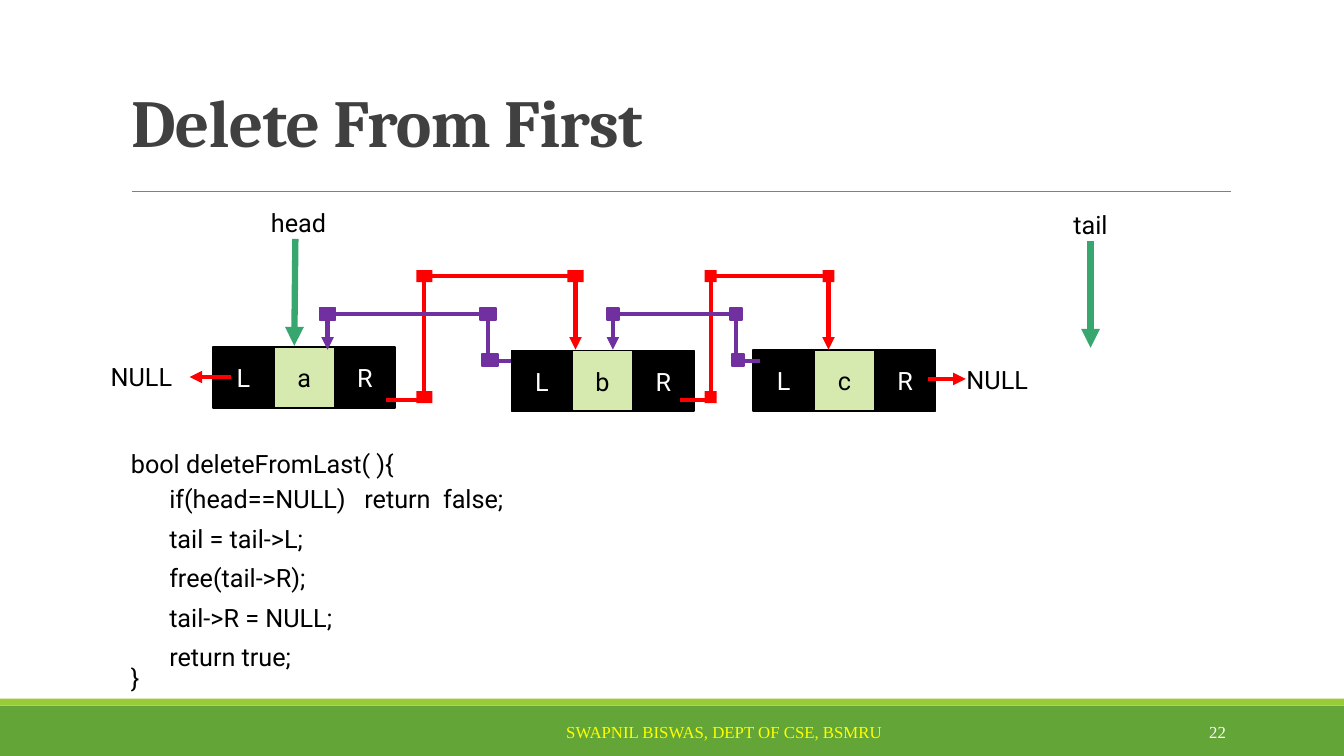
from lxml import etree
from pptx import Presentation
from pptx.dml.color import RGBColor
from pptx.enum.shapes import MSO_CONNECTOR, MSO_SHAPE
from pptx.enum.text import MSO_ANCHOR, MSO_AUTO_SIZE, PP_ALIGN
from pptx.oxml.ns import qn
from pptx.util import Pt

RECTANGLE = MSO_SHAPE.RECTANGLE
STRAIGHT = MSO_CONNECTOR.STRAIGHT
TOP, MIDDLE, BOTTOM = MSO_ANCHOR.TOP, MSO_ANCHOR.MIDDLE, MSO_ANCHOR.BOTTOM
LEFT, CENTER, RIGHT = PP_ALIGN.LEFT, PP_ALIGN.CENTER, PP_ALIGN.RIGHT
NO_AUTOFIT = MSO_AUTO_SIZE.NONE
TITLE_ONLY = 5

BLACK, WHITE = "000000", "FFFFFF"
RED, PURPLE, GREEN = "FF0000", "7030A0", "37A76F"
LIGHT_GREEN = "D6EAAF"
CELL = 43.4


def colour(value):
    """Turn a hex string into a colour."""
    return RGBColor.from_string(value)


class SlideBuilder:
    """Draw styled elements on one slide, with all lengths in points."""

    body_font = "Roboto"
    body_size = 18
    footer_font = "Times New Roman"
    footer_size = 12
    title_font = "Cambria"
    title_size = 48

    def __init__(self, slide):
        """Keep the slide that receives the elements."""
        self.slide = slide

    def add_text_run(self, paragraph, text, font, size, text_colour, align=LEFT):
        """Add one formatted run to a paragraph."""
        paragraph.alignment = align
        run = paragraph.add_run()
        run.text = text
        run.font.name = font
        run.font.size = Pt(size)
        run.font.color.rgb = colour(text_colour)
        return run

    def title(self, text, left, top, width, height):
        """Place and format the title placeholder."""
        shape = self.slide.shapes.title
        shape.left, shape.top = Pt(left), Pt(top)
        shape.width, shape.height = Pt(width), Pt(height)
        frame = shape.text_frame
        frame.auto_size = NO_AUTOFIT
        frame.vertical_anchor = BOTTOM
        paragraph = frame.paragraphs[0]
        paragraph.line_spacing = 0.85
        run = self.add_text_run(paragraph, text, self.title_font,
                                self.title_size, "404040")
        run.font.bold = True
        run.font._element.set("spc", "-50")

    def text(self, text, left, top, width, height=28.8):
        """Add a line of body text."""
        box = self.slide.shapes.add_textbox(Pt(left), Pt(top), Pt(width), Pt(height))
        box.text_frame.word_wrap = True
        self.add_text_run(box.text_frame.paragraphs[0], text,
                          self.body_font, self.body_size, BLACK)

    def footer(self, text, left, top, width, height, text_colour,
               align=LEFT, anchor=TOP):
        """Add a line of footer text."""
        box = self.slide.shapes.add_textbox(Pt(left), Pt(top), Pt(width), Pt(height))
        box.text_frame.word_wrap = True
        box.text_frame.vertical_anchor = anchor
        self.add_text_run(box.text_frame.paragraphs[0], text,
                          self.footer_font, self.footer_size, text_colour, align)

    def box(self, left, top, width, height, fill, outline=None):
        """Add a filled rectangle, outlined on request."""
        shape = self.slide.shapes.add_shape(
            RECTANGLE, Pt(left), Pt(top), Pt(width), Pt(height))
        shape.shadow.inherit = False
        shape.fill.solid()
        shape.fill.fore_color.rgb = colour(fill)
        if outline:
            shape.line.color.rgb = colour(outline)
            shape.line.width = Pt(1.25)
        else:
            shape.line.fill.background()
        return shape

    def line(self, start, end, line_colour, width, arrow=False):
        """Add a straight connector, with an arrowhead on request."""
        connector = self.slide.shapes.add_connector(
            STRAIGHT, *(Pt(value) for value in (*start, *end)))
        connector.line.color.rgb = colour(line_colour)
        connector.line.width = Pt(width)
        if arrow:
            outline = connector.line._get_or_add_ln()
            etree.SubElement(outline, qn("a:tailEnd"), type="triangle")
        etree.SubElement(connector._element.spPr, qn("a:effectLst"))

    def node(self, value, left, top):
        """Add a list node: left link, value and right link."""
        cells = (("L", BLACK, WHITE), (value, LIGHT_GREEN, BLACK), ("R", BLACK, WHITE))
        for index, (label, fill, text_colour) in enumerate(cells):
            shape = self.box(left + index * CELL, top, CELL, CELL, fill, BLACK)
            shape.text_frame.vertical_anchor = MIDDLE
            self.add_text_run(shape.text_frame.paragraphs[0], label,
                              self.body_font, self.body_size, text_colour, CENTER)

    def link(self, start, turn, top, end, line_colour, joint_width, foot_shift,
             outline=None):
        """Add a bent arrow between nodes, with a square joint at each bend."""
        bends = [(turn, start[1]), (turn, top), (end[0], top)]
        points = [start, *bends, end]
        for index, (first, second) in enumerate(zip(points, points[1:])):
            self.line(first, second, line_colour, 3, arrow=index == len(bends))
        foot = (turn + foot_shift[0], start[1] + foot_shift[1])
        for x, y in (foot, *bends[1:]):
            self.box(x - joint_width / 2, y - 4.3, joint_width, 8.6,
                     line_colour, outline)


def main():
    """Build the slide and save it."""
    presentation = Presentation()
    presentation.slide_width, presentation.slide_height = Pt(960), Pt(540)
    slide = presentation.slides.add_slide(presentation.slide_layouts[TITLE_ONLY])
    builder = SlideBuilder(slide)

    builder.box(0, 504, 960, 36, "63A537")
    builder.box(0, 499, 960, 5, "99CB38")
    builder.line((94.3, 136.8), (879, 136.8), "808080", 0.5)
    builder.footer("SWAPNIL BISWAS, DEPT OF CSE, BSMRU", 397.4, 512, 260, 21.6, "FFFF00")
    builder.footer("22", 779.8, 508.3, 103, 28.8, WHITE, RIGHT, MIDDLE)
    builder.title("Delete From First", 86.4, 4.3, 792, 114.5)

    for value, left, top in (("a", 152.2, 248), ("b", 365.3, 250.4), ("c", 538, 250)):
        builder.node(value, left, top)

    for start_x, turn, end_x, joint_width in ((275.8, 303.1, 411.1, 11.5),
                                              (486, 507.6, 591.8, 8.6)):
        builder.link((start_x, 285.8), turn, 197.3, (end_x, 249.8),
                     RED, joint_width, (0, -2.2))
    for start_x, turn, end_x, joint_width in ((365, 348.5, 234, 11.5),
                                              (542.9, 525.6, 437.8, 8.6)):
        builder.link((start_x, 257.8), turn, 224.2, (end_x, 249.8),
                     PURPLE, joint_width, (1.4, -0.8), PURPLE)

    builder.line((164.9, 269.3), (135.4, 269.3), RED, 3, arrow=True)
    builder.line((663.1, 270.7), (689.8, 270.7), RED, 3, arrow=True)
    builder.text("NULL", 72, 254.9, 67.7)
    builder.text("NULL", 683.3, 257, 67.7)

    builder.line((211, 170.6), (210.2, 247), GREEN, 4.5, arrow=True)
    builder.line((779, 172.1), (779, 248.4), GREEN, 4.5, arrow=True)
    builder.text("head", 186.5, 144.7, 57.6)
    builder.text("tail", 759.6, 146.2, 49)

    builder.text("bool deleteFromLast( ){", 86.4, 316.8, 431)
    statements = ("if(head==NULL)   return  false;", "tail = tail->L;",
                  "free(tail->R);", "tail->R = NULL;", "return true;")
    for index, statement in enumerate(statements):
        builder.text(statement, 113.8, 342 + index * 28.2, 270)
    builder.text("}", 86.4, 469.4, 54.7)

    presentation.save("out.pptx")


if __name__ == "__main__":
    main()
